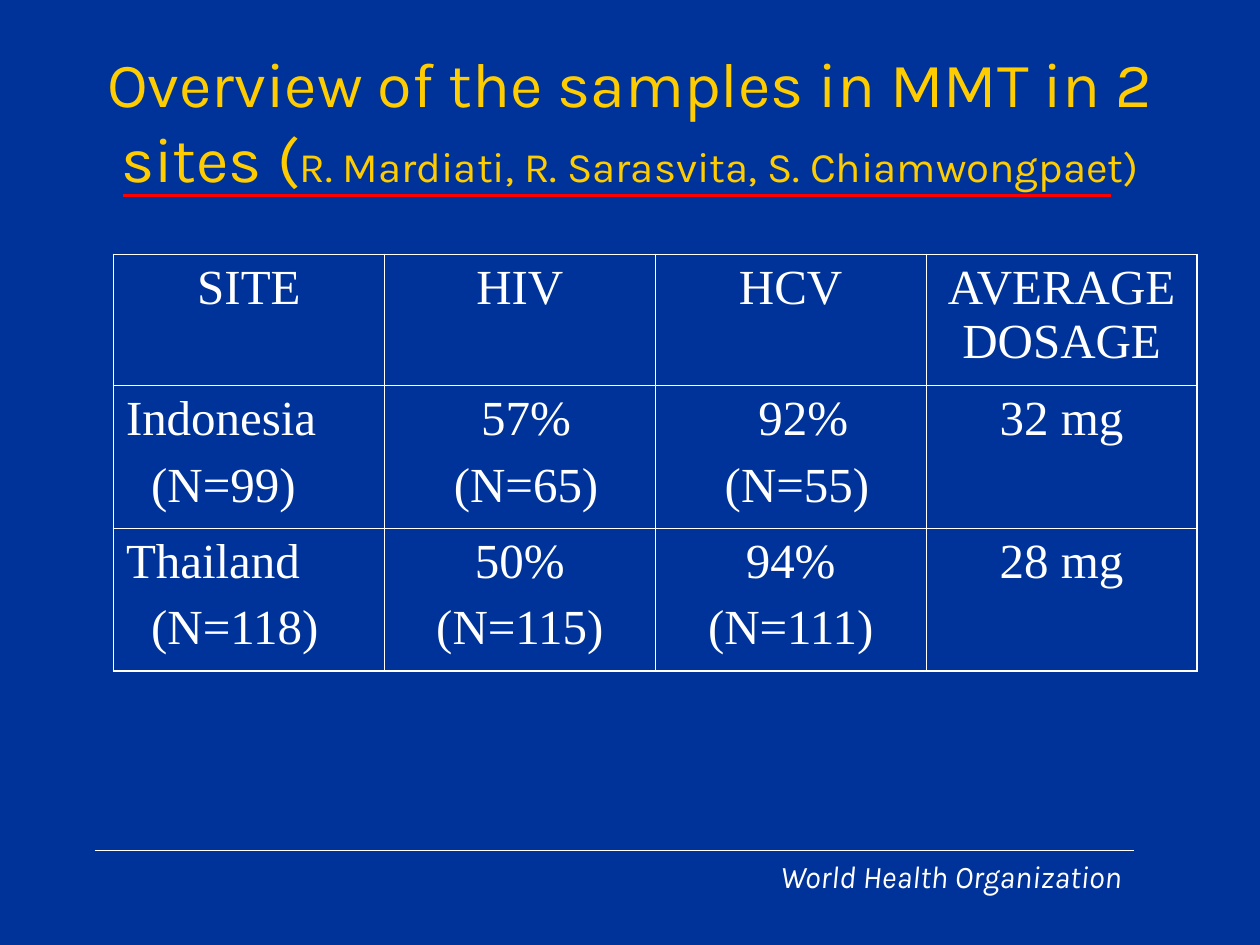
from lxml import etree
from pptx import Presentation
from pptx.dml.color import RGBColor
from pptx.enum.shapes import MSO_CONNECTOR
from pptx.enum.text import MSO_ANCHOR, MSO_AUTO_SIZE, PP_ALIGN
from pptx.oxml.ns import qn
from pptx.util import Inches, Pt

LEFT, CENTER, RIGHT = PP_ALIGN.LEFT, PP_ALIGN.CENTER, PP_ALIGN.RIGHT
TOP = MSO_ANCHOR.TOP
NO_FIT = MSO_AUTO_SIZE.NONE
STRAIGHT = MSO_CONNECTOR.STRAIGHT

TITLE = "Overview of the samples in MMT in 2 sites ("
AUTHORS = "R. Mardiati, R. Sarasvita, S. Chiamwongpaet)"
FOOTER = "World Health Organization"

# Each cell is a list of (text, left indent in inches) paragraphs.
ROWS = [
    [[("SITE", 0)], [("HIV", 0)], [("HCV", 0)], [("AVERAGE DOSAGE", 0)]],
    [[("Indonesia", 0), ("(N=99)", 0.2)],
     [("57%", 0.1), ("(N=65)", 0.1)],
     [("92%", 0.2), ("(N=55)", 0.1)],
     [("32 mg", 0)]],
    [[("Thailand", 0), ("(N=118)", 0.2)],
     [("50%", 0), ("(N=115)", 0)],
     [("94%", 0), ("(N=111)", 0)],
     [("28 mg", 0)]],
]
COLUMN_WIDTH = 2.15
ROW_HEIGHTS = [1.04, 1.13, 1.13]

THEME = {
    "background": "003399", "title": "FFCC00", "text": "FFFFFF", "rule": "FF0000",
    "heading_font": "Karla", "table_font": "Times New Roman",
    "title_size": 36, "authors_size": 24, "table_size": 28, "footer_size": 18,
    "outer_border": 1.08, "inner_border": 0.45,
}


def color(name):
    return RGBColor.from_string(THEME[name])


def add_text(para, text, *, size, font="heading_font", fill="text",
             align=LEFT, italic=False):
    para.alignment = align
    span = para.add_run()
    span.text = text
    span.font.name = THEME[font]
    span.font.size = Pt(THEME[size])
    span.font.italic = italic
    span.font.color.rgb = color(fill)


def add_rule(slide, left, right, top, fill, width):
    rule = slide.shapes.add_connector(
        STRAIGHT, Inches(left), Inches(top), Inches(right), Inches(top))
    rule.line.color.rgb = color(fill)
    rule.line.width = Pt(width)
    etree.SubElement(rule._element.spPr, qn("a:effectLst"))


def set_borders(cell, outer_sides):
    """Draw all four sides, using the heavier width where the side is outer."""
    properties = cell._tc.get_or_add_tcPr()
    for index, side in enumerate(("lnL", "lnR", "lnT", "lnB")):
        width = THEME["outer_border" if side in outer_sides else "inner_border"]
        line = etree.Element(qn(f"a:{side}"), w=str(int(Pt(width))))
        fill = etree.SubElement(line, qn("a:solidFill"))
        etree.SubElement(fill, qn("a:srgbClr"), val=THEME["text"])
        properties.insert(index, line)


def fill_cell(cell, paragraphs, align):
    cell.fill.background()
    cell.margin_left = cell.margin_right = Inches(0.1)
    cell.margin_top = cell.margin_bottom = Inches(0.05)
    for index, (text, indent) in enumerate(paragraphs):
        para = cell.text_frame.paragraphs[0] if index == 0 else cell.text_frame.add_paragraph()
        if index:
            para.space_before = Pt(7)
        if indent:
            para._p.get_or_add_pPr().set("marL", str(Inches(indent)))
        add_text(para, text, size="table_size", font="table_font", align=align)


def add_sample_table(slide):
    row_count, column_count = len(ROWS), len(ROWS[0])
    table = slide.shapes.add_table(
        row_count, column_count, Inches(0.9), Inches(2.02),
        Inches(COLUMN_WIDTH * column_count), Inches(sum(ROW_HEIGHTS))).table
    table.first_row = table.horz_banding = False
    for column in table.columns:
        column.width = Inches(COLUMN_WIDTH)
    for r, row in enumerate(ROWS):
        table.rows[r].height = Inches(ROW_HEIGHTS[r])
        for c, paragraphs in enumerate(row):
            cell = table.cell(r, c)
            fill_cell(cell, paragraphs, LEFT if r and c == 0 else CENTER)
            edges = {"lnL": c == 0, "lnR": c == column_count - 1,
                     "lnT": r == 0, "lnB": r == row_count - 1}
            set_borders(cell, [side for side, outer in edges.items() if outer])


def main():
    deck = Presentation()
    deck.slide_width, deck.slide_height = Inches(10), Inches(7.5)
    page = deck.slides.add_slide(deck.slide_layouts[5])
    page.background.fill.solid()
    page.background.fill.fore_color.rgb = color("background")

    title = page.shapes.title
    title.left, title.top = Inches(0.5), Inches(0.3)
    title.width, title.height = Inches(9), Inches(0.93)
    title.text_frame.auto_size = NO_FIT
    title.text_frame.vertical_anchor = TOP
    para = title.text_frame.paragraphs[0]
    add_text(para, TITLE, size="title_size", fill="title", align=CENTER)
    add_text(para, AUTHORS, size="authors_size", fill="title", align=CENTER)
    add_rule(page, 0.98, 8.82, 1.55, "rule", 2)

    footer = page.shapes.add_textbox(Inches(1.42), Inches(6.75), Inches(7.58), Inches(0.4))
    footer.text_frame.word_wrap = True
    add_text(footer.text_frame.paragraphs[0], FOOTER, size="footer_size",
             align=RIGHT, italic=True)
    add_rule(page, 0.75, 9, 6.75, "text", 0.75)

    add_sample_table(page)
    deck.save("out.pptx")


if __name__ == "__main__":
    main()
